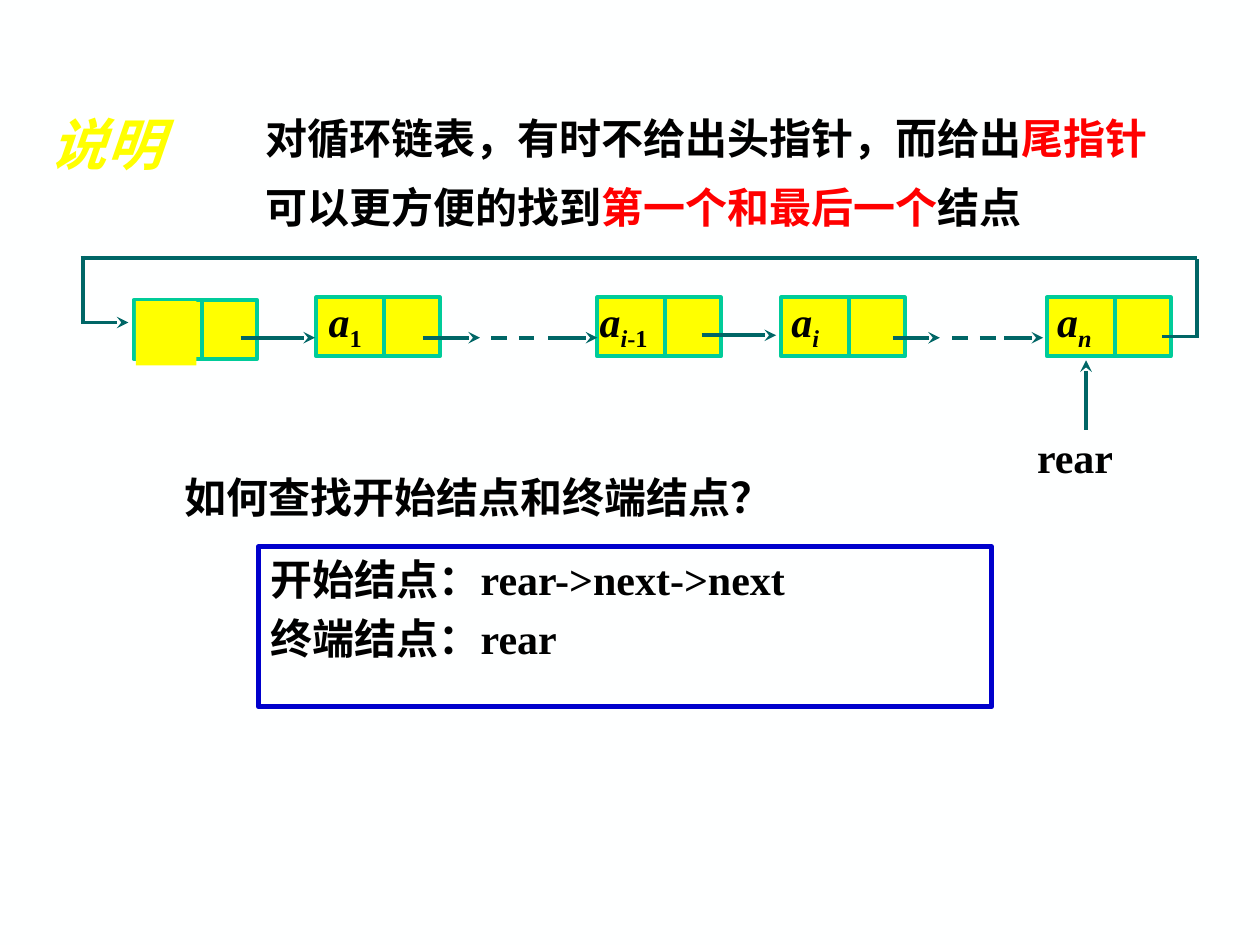
import pptx
import pptx.util
from pptx.dml.color import RGBColor
from pptx.enum.dml import MSO_LINE
from pptx.enum.shapes import MSO_CONNECTOR, MSO_SHAPE
from pptx.enum.text import MSO_ANCHOR
from pptx.oxml.ns import qn
from lxml import etree

Pt = pptx.util.Pt
COLORS = {"bg": "FEFFFF", "text": "000000", "key": "FF0000", "node": "FFFF00",
          "edge": "00CC99", "link": "006666", "frame": "0000CC"}
SERIF, SANS = "Times New Roman", "Arial"
NODE_W, NODE_H, SPLIT = 70.6, 33.8, 38.9


def rgb(name):
    return RGBColor.from_string(COLORS[name])


def add_line(slide, x1, y1, x2, y2, color="link", arrow=False, dash=False):
    c = slide.shapes.add_connector(MSO_CONNECTOR.STRAIGHT, Pt(x1), Pt(y1), Pt(x2), Pt(y2))
    c.line.color.rgb = rgb(color)
    c.line.width = Pt(2.25)
    if dash:
        c.line.dash_style = MSO_LINE.DASH
    if arrow:
        etree.SubElement(c.line._get_or_add_ln(), qn("a:tailEnd"), type="stealth")
    etree.SubElement(c._element.spPr, qn("a:effectLst"))


def add_rect(slide, x, y, w, h, fill=None, line=None, width=2.25):
    sp = slide.shapes.add_shape(MSO_SHAPE.RECTANGLE, Pt(x), Pt(y), Pt(w), Pt(h))
    sp.shadow.inherit = False
    if fill:
        sp.fill.solid()
        sp.fill.fore_color.rgb = rgb(fill)
    else:
        sp.fill.background()
    if line:
        sp.line.color.rgb = rgb(line)
        sp.line.width = Pt(width)
    else:
        sp.line.fill.background()
    return sp


def write(sp, paragraphs, size=24, font=SERIF, color="text", italic=False,
          spacing=None, before=5, insets=(7.2, 3.6, 7.2, 3.6), anchor=MSO_ANCHOR.TOP):
    """Fill a shape with paragraphs, each a list of (text, colour or None) runs."""
    tf = sp.text_frame
    tf.word_wrap = True
    tf.vertical_anchor = anchor
    tf.margin_left, tf.margin_top, tf.margin_right, tf.margin_bottom = map(Pt, insets)
    for i, runs in enumerate(paragraphs):
        p = tf.add_paragraph() if i else tf.paragraphs[0]
        p.alignment = pptx.enum.text.PP_ALIGN.LEFT
        if spacing:
            p.line_spacing = spacing
        if i:
            p.space_before = Pt(before)
        f = p.font
        f.size, f.name, f.bold, f.italic = Pt(size), font, True, italic
        f.color.rgb = rgb(color)
        for text, run_color in runs:
            r = p.add_run()
            r.text = text
            if run_color:
                r.font.color.rgb = rgb(run_color)
    return tf


def add_text(slide, x, y, w, h, paragraphs, **style):
    box = slide.shapes.add_textbox(Pt(x), Pt(y), Pt(w), Pt(h))
    write(box, paragraphs, **style)


def add_node(slide, x, y, subscripts=(), inset=5.8):
    """Draw a data and pointer cell; subscripts are (text, italic) pairs after a."""
    sp = add_rect(slide, x, y, NODE_W, NODE_H, "node", "edge")
    if subscripts:
        runs = [("a", None)] + [(text, None) for text, _ in subscripts]
        tf = write(sp, [runs], italic=True, spacing=0.9, insets=(inset, 0, 0, 5.8),
                   anchor=MSO_ANCHOR.MIDDLE)
        for r, (_, italic) in zip(tf.paragraphs[0].runs[1:], subscripts):
            r.font.italic = italic
            r.font._element.set("baseline", "-25000")
    add_line(slide, x + SPLIT, y, x + SPLIT, y + NODE_H, "edge")


def add_circular_list(slide, x, y):
    """Draw the list with its return link starting at the top left corner x, y."""
    head_y, node_y, link_y = y + 23.8, y + 22.3, y + 45.4
    add_node(slide, x + 28.8, head_y)
    add_rect(slide, x + 30.2, head_y + 0.7, 34.6, 36.7, "node")
    nodes = [(133.2, [("1", False)], 7.2), (293.8, [("i", True), ("-1", False)], 1.4),
             (398.9, [("i", True)], 5.8), (550.8, [("n", True)], 5.8)]
    for dx, subscripts, inset in nodes:
        add_node(slide, x + dx, node_y, subscripts, inset)

    arrows = [(90, 132.5, 0), (194.4, 226.8, 0), (265.7, 293.8, 0), (353.5, 396, -1.4),
              (463, 489.6, 0), (526.3, 548.6, 0)]
    for x1, x2, dy in arrows:
        add_line(slide, x + x1, link_y + dy, x + x2, link_y + dy, arrow=True)
    for x1, x2 in [(233.3, 257.8), (496.8, 522)]:
        add_line(slide, x + x1, link_y, x + x2, link_y, dash=True)

    right = x + 636.5
    add_line(slide, right - 1.4, link_y - 0.7, right - 20.2, link_y - 0.7)
    add_line(slide, right, y + 0.7, right, link_y)
    add_line(slide, x - 1.4, y, right, y)
    add_line(slide, x, y - 1.4, x, y + 37.4)
    add_line(slide, x, y + 36.7, x + 25.9, y + 36.7, arrow=True)

    rear_x = x + 573.1
    add_line(slide, rear_x, y + 97.9, rear_x, y + 58.3, arrow=True)
    add_text(slide, rear_x - 28, y + 96.5, 59.8, 36.7, [[("rear", None)]],
             insets=(0, 0, 0, 2.9), anchor=MSO_ANCHOR.MIDDLE)


def add_explanation(slide, x, y):
    add_text(slide, x, y + 4.3, 90.7, 46, [[("说明", None)]], size=32, color="node", italic=True)
    add_text(slide, x + 123.1, y, 532.8, 82.8, [
        [("对循环链表，有时不给出头指针，而给出", None), ("尾指针", "key")],
        [("可以更方便的找到", None), ("第一个和最后一个", "key"), ("结点", None)],
    ], spacing=1.2)


def add_question(slide, x, y):
    add_text(slide, x, y, 457.2, 36.7, [[("如何查找开始结点和终端结点？", None)]], font=SANS)
    answer = add_rect(slide, x + 49, y + 46.8, 419, 91.4, line="frame", width=3)
    write(answer, [[("开始结点：rear->next->next", None)], [("终端结点：rear", None)]])


def main():
    prs = pptx.Presentation()
    prs.slide_width, prs.slide_height = Pt(720), Pt(540)
    slide = prs.slides.add_slide(prs.slide_layouts[6])
    slide.background.fill.solid()
    slide.background.fill.fore_color.rgb = rgb("bg")
    add_explanation(slide, 21.6, 54.7)
    add_circular_list(slide, 47.5, 147.6)
    add_question(slide, 98.6, 265.7)
    prs.save("out.pptx")


if __name__ == "__main__":
    main()
